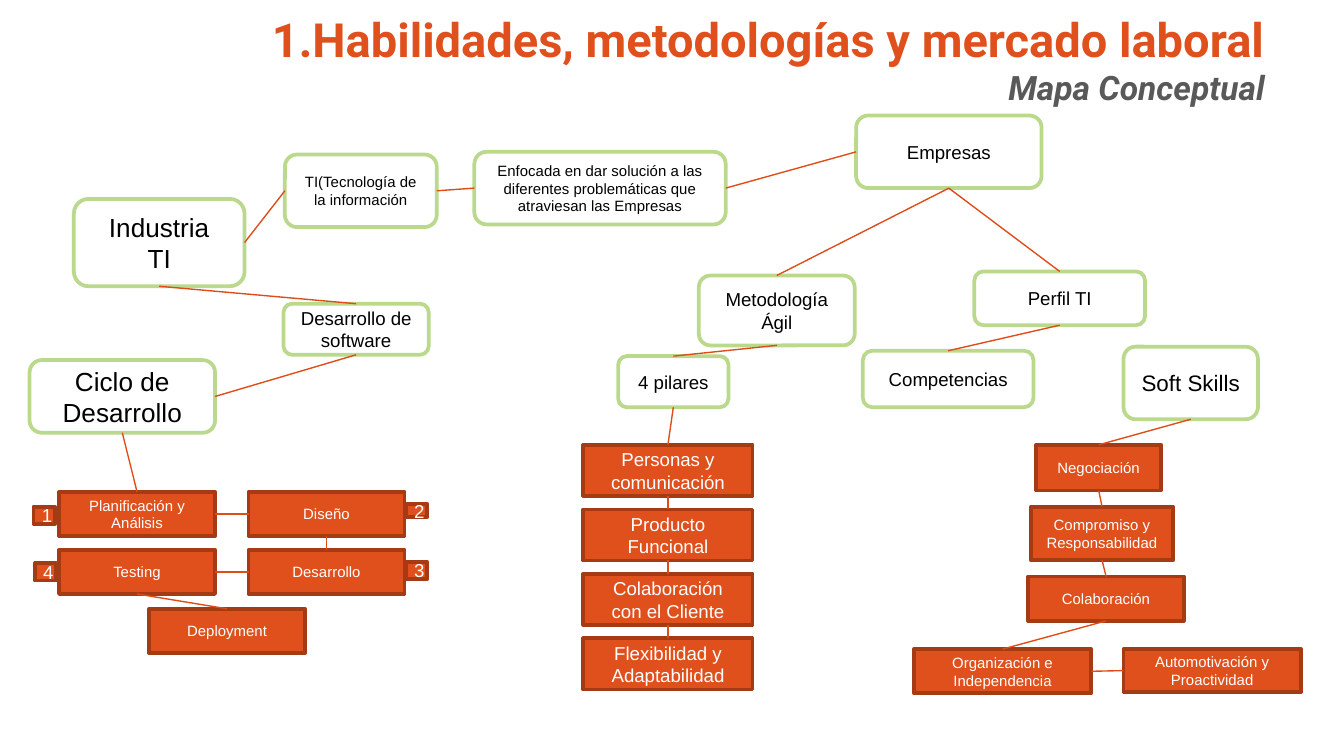
from pptx import Presentation
from pptx.dml.color import RGBColor
from pptx.enum.shapes import MSO_CONNECTOR, MSO_SHAPE
from pptx.enum.text import MSO_ANCHOR, PP_ALIGN
from pptx.oxml.ns import qn
from pptx.util import Inches, Pt
from lxml import etree

ROUND, RECT = MSO_SHAPE.ROUNDED_RECTANGLE, MSO_SHAPE.RECTANGLE
STRAIGHT = MSO_CONNECTOR.STRAIGHT
TOP, LEFT, BOTTOM, RIGHT = range(4)  # connection sites

ORANGE = RGBColor(0xDF, 0x50, 0x1D)
RUST = RGBColor(0xA5, 0x3B, 0x15)
LINK = RGBColor(0xDF, 0x4C, 0x18)
GREEN = RGBColor(0xBB, 0xD9, 0x8C)
GREY = RGBColor(0x59, 0x59, 0x59)
WHITE = RGBColor(0xFF, 0xFF, 0xFF)
BLACK = RGBColor(0, 0, 0)

# Headings: text, top, height, size, colour, italic, anchor
HEADS = [
    ("1.Habilidades, metodologías y mercado laboral", 0.18, 0.42, 25.2,
     ORANGE, False, MSO_ANCHOR.BOTTOM),
    ("Mapa Conceptual", 0.4, 0.64, 18, GREY, True, MSO_ANCHOR.TOP),
]

# Concepts: key -> text, left, top, width, height, size
TOPICS = {
    "industry": ("Industria\nTI", 0.55, 1.48, 1.27, 0.65, 14),
    "tech": ("TI(Tecnología de la información", 2.12, 1.15, 1.13, 0.54, 8),
    "focus": ("Enfocada en dar solución a las diferentes problemáticas "
              "que atraviesan las Empresas", 3.53, 1.13, 1.87, 0.54, 8),
    "firms": ("Empresas", 6.37, 0.86, 1.38, 0.54, 10),
    "agile": ("Metodología Ágil", 5.2, 2.05, 1.16, 0.52, 10),
    "pillars": ("4 pilares", 4.6, 2.65, 0.82, 0.38, 10),
    "software": ("Desarrollo de software", 2.11, 2.26, 1.08, 0.38, 10),
    "profile": ("Perfil TI", 7.25, 2.02, 1.27, 0.4, 10),
    "skills": ("Competencias", 6.42, 2.61, 1.27, 0.42, 10),
    "soft": ("Soft Skills", 8.36, 2.58, 1, 0.54, 12),
    "cycle": ("Ciclo de Desarrollo", 0.22, 2.68, 1.38, 0.54, 14),
}

# Details, same layout
DETAILS = {
    "deal": ("Negociación", 7.71, 3.31, 0.93, 0.34, 8),
    "commit": ("Compromiso y Responsabilidad", 7.67, 3.77, 1.06, 0.4, 8),
    "collab": ("Colaboración", 7.65, 4.29, 1.16, 0.33, 8),
    "drive": ("Automotivación y Proactividad", 8.36, 4.83, 1.32, 0.32, 8),
    "order": ("Organización e Independencia", 6.8, 4.83, 1.32, 0.33, 8),
    "deploy": ("Deployment", 1.11, 4.53, 1.16, 0.33, 8),
    "1": ("1", 0.25, 3.77, 0.16, 0.13, 10),
    "2": ("2", 3.02, 3.75, 0.16, 0.1, 10),
    "4": ("4", 0.26, 4.19, 0.16, 0.13, 10),
    "3": ("3", 3.02, 4.18, 0.16, 0.13, 10),
}
STEPS = [["Planificación y Análisis", "Diseño"], ["Testing", "Desarrollo"]]
PILLARS = ["Personas y comunicación", "Producto Funcional",
           "Colaboración con el Cliente", "Flexibilidad y Adaptabilidad"]

# Development steps on a 2 x 2 grid, pillars in a column
for row, names in enumerate(STEPS):
    for col, name in enumerate(names):
        DETAILS[name] = (name, 0.44 + 1.41 * col, 3.66 + 0.43 * row,
                         1.16, 0.33, 8)
for row, name in enumerate(PILLARS):
    DETAILS[name] = (name, 4.34, 3.31 + 0.48 * row, 1.26, 0.38, 10)

# Links: from, site, to, site
LINKS = [
    ("industry", RIGHT, "tech", LEFT),
    ("tech", RIGHT, "focus", LEFT),
    ("focus", RIGHT, "firms", LEFT),
    ("Planificación y Análisis", RIGHT, "Diseño", LEFT),
    ("Testing", RIGHT, "Desarrollo", LEFT),
    ("order", RIGHT, "drive", LEFT),
    ("software", BOTTOM, "cycle", RIGHT),
]
DOWN = [
    ("firms", "agile", "pillars", *PILLARS),
    ("firms", "profile", "skills"),
    ("industry", "software"),
    ("cycle", "Planificación y Análisis"),
    ("Diseño", "Desarrollo"),
    ("Testing", "deploy"),
    ("soft", "deal", "commit", "collab", "order"),
]
for chain in DOWN:
    LINKS += [(a, BOTTOM, b, TOP) for a, b in zip(chain, chain[1:])]

deck = Presentation()
deck.slide_width = Inches(10)
deck.slide_height = deck.slide_width * 9 // 16
slide = deck.slides.add_slide(deck.slide_layouts[6])
shapes = slide.shapes


def style(para, size, font, color, align):
    para.alignment = align
    para.font.size = Pt(size)
    para.font.name = font
    para.font.color.rgb = color


def add_box(kind, fill, edge, ink, text, *place):
    *area, size = place
    box = shapes.add_shape(kind, *map(Inches, area))
    box.shadow.inherit = False
    box.fill.solid()
    box.fill.fore_color.rgb = fill
    box.line.color.rgb = edge
    box.line.width = Pt(2)
    frame = box.text_frame
    frame.word_wrap = True
    frame.vertical_anchor = MSO_ANCHOR.MIDDLE
    frame.text = text
    for para in frame.paragraphs:
        style(para, size, "Arial", ink, PP_ALIGN.CENTER)
    return box


# Headings
for text, top, high, size, color, slant, anchor in HEADS:
    box = shapes.add_textbox(*map(Inches, (0.14, top, 9.37, high)))
    frame = box.text_frame
    frame.word_wrap = True
    frame.vertical_anchor = anchor
    frame.margin_top = frame.margin_bottom = Inches(0.1)
    frame.text = text
    para = frame.paragraphs[0]
    style(para, size, "Roboto", color, PP_ALIGN.RIGHT)
    para.font.bold = True
    para.font.italic = slant

# Boxes
boxes = {key: add_box(ROUND, WHITE, GREEN, BLACK, *row)
         for key, row in TOPICS.items()}
boxes.update({key: add_box(RECT, ORANGE, RUST, WHITE, *row)
              for key, row in DETAILS.items()})

# Connectors
for start, exit_at, end, enter_at in LINKS:
    link = shapes.add_connector(STRAIGHT, 0, 0, 0, 0)
    link.begin_connect(boxes[start], exit_at)
    link.end_connect(boxes[end], enter_at)
    link.line.color.rgb = LINK
    link.line.width = Pt(0.75)
    etree.SubElement(link._element.spPr, qn("a:effectLst"))

deck.save("out.pptx")
